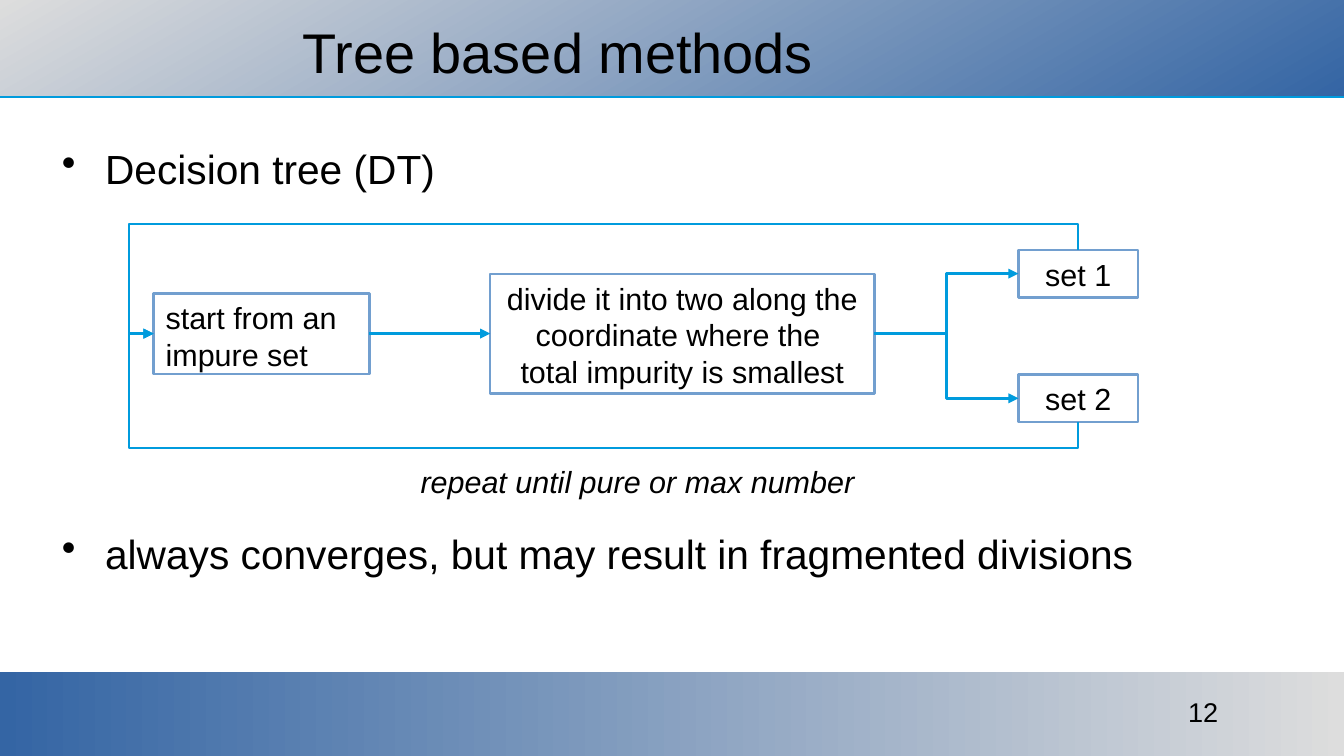
from lxml.etree import SubElement
from pptx import Presentation
from pptx.dml.color import RGBColor
from pptx.enum.shapes import MSO_CONNECTOR as Link, MSO_SHAPE as Shape
from pptx.enum.text import MSO_ANCHOR as Anchor, PP_ALIGN as Align
from pptx.oxml.ns import qn
from pptx.util import Pt

WIDTH, HEIGHT = 793.4, 446.4
FONT = "Arial"
COLORS = {"text": "000000", "box": "729FCF", "arrow": "009BDD",
          "blue": "3465A4", "gray": "DDDDDD"}
TITLE = "Tree based methods"
BULLETS = [("Decision tree (DT)", 0),
           ("always converges, but may result in fragmented divisions", 198.4)]
CAPTION = "repeat until pure or max number"
PAGE_NUMBER = "12"
BANDS = [(0, 56.9, "gray", "blue", 300), (396.7, 49.7, "blue", "gray", 0)]
MIDDLE = 197
STEPS = {
    "start": (["start from an impure set"], 90.7, MIDDLE, 127.4, 47.5, Align.LEFT),
    "divide": (["divide it into two along the coordinate where the ",
                "total impurity is smallest"], 289.4, MIDDLE, 226.8, 70.6, Align.CENTER),
    "set 1": (["set 1"], 601.2, 161.6, 70.6, 28.2, Align.CENTER),
    "set 2": (["set 2"], 601.2, 235.2, 70.6, 28.2, Align.CENTER),
}
LINKS = [("start", "divide", Link.STRAIGHT), ("divide", "set 1", Link.ELBOW),
         ("divide", "set 2", Link.ELBOW)]
LOOP_LEFT, LOOP_GAP = 76.2, 15.1
LINE_WIDTH = 1.42


def color(name):
    return RGBColor.from_string(COLORS[name])


def write(para, text, size, italic=None):
    span = para.add_run()
    span.text = text
    span.font.name, span.font.size, span.font.italic = FONT, Pt(size), italic
    span.font.color.rgb = color("text")


def set_frame(frame, margin_x=7.2, margin_y=3.6, anchor=Anchor.TOP):
    frame.word_wrap = True
    frame.margin_left = frame.margin_right = Pt(margin_x)
    frame.margin_top = frame.margin_bottom = Pt(margin_y)
    frame.vertical_anchor = anchor


def add_text(page, left, top, width, height, **margins):
    frame = page.shapes.add_textbox(Pt(left), Pt(top), Pt(width), Pt(height)).text_frame
    set_frame(frame, **margins)
    return frame


def add_bands(page):
    for top, height, first, last, angle in BANDS:
        band = page.shapes.add_shape(Shape.RECTANGLE, 0, Pt(top), Pt(WIDTH), Pt(height))
        band.shadow.inherit = False
        band.line.fill.background()
        band.fill.gradient()
        band.fill.gradient_angle = angle
        for stop, name in zip(band.fill.gradient_stops, (first, last)):
            stop.color.rgb = color(name)


def add_step(page, lines, left, center, width, height, align):
    box = page.shapes.add_shape(Shape.RECTANGLE, Pt(left), Pt(center - height / 2),
                                Pt(width), Pt(height))
    box.shadow.inherit = False
    box.fill.background()
    box.line.color.rgb = color("box")
    box.line.width = Pt(LINE_WIDTH)
    set_frame(box.text_frame)
    para = box.text_frame.paragraphs[0]
    para.alignment = align
    for index, line in enumerate(lines):
        if index:
            para.add_line_break()
        write(para, line, 18)
    return box


def style_line(line_shape, arrow=True):
    line_shape.line.color.rgb = color("arrow")
    line_shape.line.width = Pt(LINE_WIDTH)
    properties = line_shape.line._get_or_add_ln()
    if arrow:
        SubElement(properties, qn("a:tailEnd"), type="triangle")
    SubElement(properties.getparent(), qn("a:effectLst"))


def add_loop(page, box, target, edge, turn):
    center = box.left + box.width // 2
    path_points = [(center, turn), (Pt(LOOP_LEFT), turn), (Pt(LOOP_LEFT), Pt(MIDDLE)),
                   (target.left, Pt(MIDDLE))]
    builder = page.shapes.build_freeform(center, edge)
    builder.add_line_segments(path_points, close=False)
    loop = builder.convert_to_shape()
    loop.fill.background()
    style_line(loop)


def main():
    deck = Presentation()
    deck.slide_width, deck.slide_height = Pt(WIDTH), Pt(HEIGHT)
    page = deck.slides.add_slide(deck.slide_layouts[5])

    add_bands(page)
    rule = page.shapes.add_connector(Link.STRAIGHT, 0, Pt(57.3), Pt(WIDTH), Pt(57.3))
    style_line(rule, arrow=False)

    title = page.shapes.title
    title._element.getparent().append(title._element)
    title.left, title.top, title.width, title.height = Pt(178.6), Pt(11.5), Pt(601.2), Pt(37.4)
    set_frame(title.text_frame, 0, 0, Anchor.MIDDLE)
    heading = title.text_frame.paragraphs[0]
    heading.alignment = Align.LEFT
    write(heading, TITLE, 33)

    body = add_text(page, 28.1, 85, 737.3, 198.7, margin_x=0, margin_y=0)
    for index, (text, space) in enumerate(BULLETS):
        para = body.add_paragraph() if index else body.paragraphs[0]
        properties = para._p.get_or_add_pPr()
        properties.set("marL", str(Pt(34)))
        properties.set("indent", str(Pt(-25.5)))
        if space:
            para.space_before = Pt(space)
        SubElement(properties, qn("a:buChar"), char="•")
        write(para, text, 24)

    boxes = {name: add_step(page, *step) for name, step in STEPS.items()}
    for source, target, kind in LINKS:
        link = page.shapes.add_connector(kind, 0, 0, 0, 0)
        link.begin_connect(boxes[source], 3)
        link.end_connect(boxes[target], 1)
        style_line(link)

    upper, lower = boxes["set 1"], boxes["set 2"]
    bottom = lower.top + lower.height
    add_loop(page, upper, boxes["start"], upper.top, upper.top - Pt(LOOP_GAP))
    add_loop(page, lower, boxes["start"], bottom, bottom + Pt(LOOP_GAP))

    caption = add_text(page, 241.2, 269.8, 283.7, 33.1)
    write(caption.paragraphs[0], CAPTION, 18, italic=True)

    number = add_text(page, 646.6, 407.2, 127.4, 26.6).paragraphs[0]
    number.alignment = Align.CENTER
    write(number, PAGE_NUMBER, 16)

    deck.save("out.pptx")


if __name__ == "__main__":
    main()
